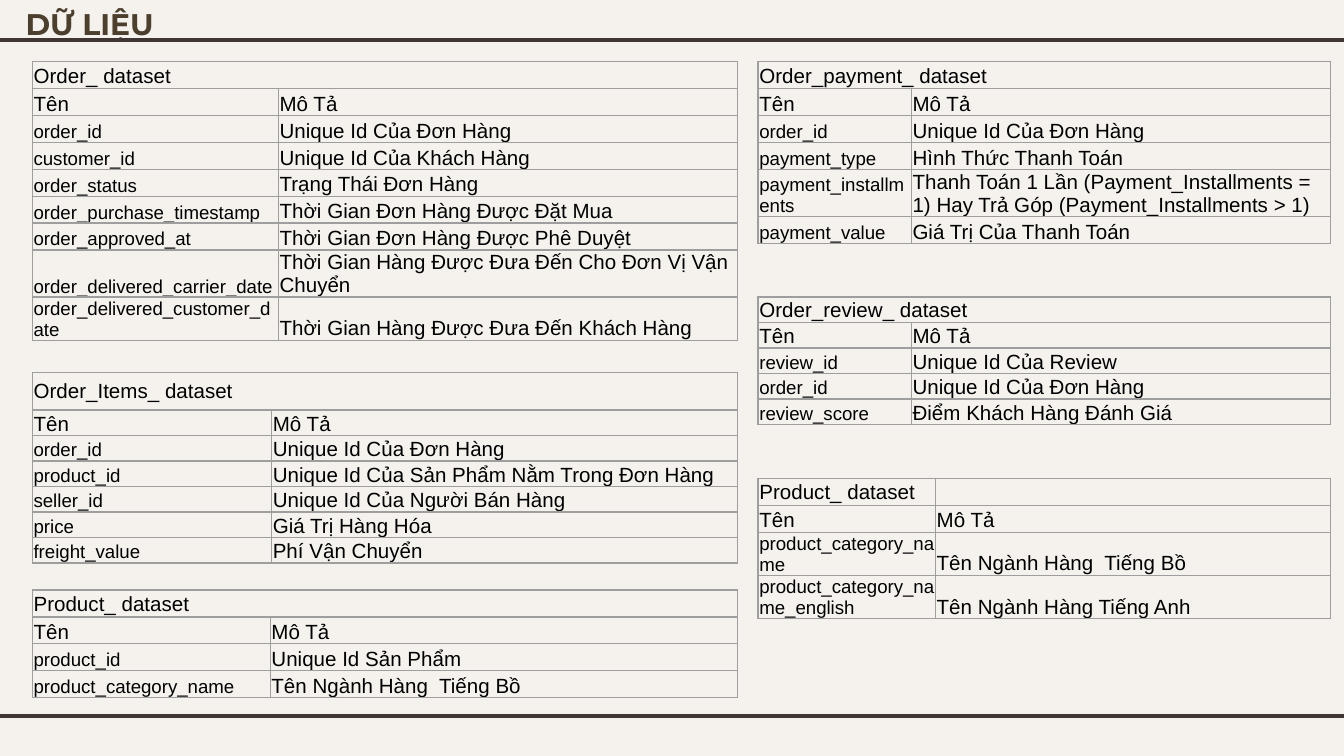
from lxml.etree import SubElement
from pptx import Presentation
from pptx.dml.color import RGBColor
from pptx.enum.shapes import MSO_CONNECTOR
from pptx.enum.text import MSO_ANCHOR, MSO_AUTO_SIZE, PP_ALIGN
from pptx.oxml.ns import qn
from pptx.util import Inches, Pt

THEME = {
    "background": "F5F2EE", "rule": "3F3533", "title": "4C3F2D",
    "text": "000000", "border": "9E9E9E",
    "title_font": "Montserrat", "body_font": "Arial",
    "title_size": 16, "body_size": 11, "field_size": 10,
    "rule_width": 2.25, "border_width": 0.75,
}

# Content: each dataset has a name, its fields with descriptions, and its layout
TITLE = "DỮ LIỆU"
HEADINGS = ("Tên", "Mô Tả")
LEFT, RIGHT = (0.24, 5.25), (5.64, 4.26)  # left edge and width of each side
DATASETS = [
    {"name": "Order_ dataset", "side": LEFT, "top": 0.46, "name_width": 1.83,
     "row": 0.2, "fields": [
         ("order_id", "Unique Id Của Đơn Hàng"),
         ("customer_id", "Unique Id Của Khách Hàng"),
         ("order_status", "Trạng Thái Đơn Hàng"),
         ("order_purchase_timestamp", "Thời Gian Đơn Hàng Được Đặt Mua"),
         ("order_approved_at", "Thời Gian Đơn Hàng Được Phê Duyệt"),
         ("order_delivered_carrier_date",
          "Thời Gian Hàng Được Đưa Đến Cho Đơn Vị Vận Chuyển"),
         ("order_delivered_customer_date",
          "Thời Gian Hàng Được Đưa Đến Khách Hàng")]},
    {"name": "Order_Items_ dataset", "side": LEFT, "top": 2.77,
     "name_width": 1.78, "row": 0.19, "first_row": 0.28, "fields": [
         ("order_id", "Unique Id Của Đơn Hàng"),
         ("product_id", "Unique Id Của Sản Phẩm Nằm Trong Đơn Hàng"),
         ("seller_id", "Unique Id Của Người Bán Hàng"),
         ("price", "Giá Trị Hàng Hóa"),
         ("freight_value", "Phí Vận Chuyển")]},
    {"name": "Order_payment_ dataset", "side": RIGHT, "top": 0.46,
     "name_width": 1.14, "row": 0.2, "fields": [
         ("order_id", "Unique Id Của Đơn Hàng"),
         ("payment_type", "Hình Thức Thanh Toán"),
         ("payment_installments", "Thanh Toán 1 Lần (Payment_Installments = 1) "
          "Hay Trả Góp (Payment_Installments > 1)"),
         ("payment_value", "Giá Trị Của Thanh Toán")]},
    {"name": "Order_review_ dataset", "side": RIGHT, "top": 2.21,
     "name_width": 1.14, "row": 0.19, "fields": [
         ("review_id", "Unique Id Của Review"),
         ("order_id", "Unique Id Của Đơn Hàng"),
         ("review_score", "Điểm Khách Hàng Đánh Giá")]},
    {"name": "Product_ dataset", "side": LEFT, "top": 4.39,
     "name_width": 1.77, "row": 0.2, "fields": [
         ("product_id", "Unique Id Sản Phẩm"),
         ("product_category_name", "Tên Ngành Hàng  Tiếng Bồ")]},
    {"name": "Product_ dataset", "side": RIGHT, "top": 3.56,
     "name_width": 1.32, "row": 0.2, "merged": False, "fields": [
         ("product_category_name", "Tên Ngành Hàng  Tiếng Bồ"),
         ("product_category_name_english", "Tên Ngành Hàng Tiếng Anh")]},
]


def write(frame, text, *, size, font=THEME["body_font"], color=THEME["text"],
          bold=False):
    paragraph = frame.paragraphs[0]
    paragraph.alignment = PP_ALIGN.LEFT
    frame.word_wrap = True
    if not text:  # an empty cell still needs its type size
        SubElement(paragraph._p, qn("a:endParaRPr"), sz=str(size * 100))
        return
    run = paragraph.add_run()
    run.text = text
    run.font.size, run.font.name, run.font.bold = Pt(size), font, bold
    run.font.color.rgb = RGBColor.from_string(color)


def add_rule(slide, y):
    rule = slide.shapes.add_connector(
        MSO_CONNECTOR.STRAIGHT, Inches(-0.08), Inches(y), Inches(10.08), Inches(y))
    rule.line.color.rgb = RGBColor.from_string(THEME["rule"])
    rule.line.width = Pt(THEME["rule_width"])
    SubElement(rule._element.spPr, qn("a:effectLst"))


def format_cell(cell, anchor):
    cell.vertical_anchor = anchor
    cell.margin_left = cell.margin_right = cell.margin_top = Inches(0.01)
    cell.margin_bottom = 0
    properties = cell._tc.get_or_add_tcPr()
    for side in ("lnL", "lnR", "lnT", "lnB"):
        border = SubElement(properties, qn(f"a:{side}"),
                            w=str(Pt(THEME["border_width"])))
        fill = SubElement(border, qn("a:solidFill"))
        SubElement(fill, qn("a:srgbClr"), val=THEME["border"])
    cell.fill.background()


def add_dataset(slide, dataset):
    rows = [(dataset["name"], ""), HEADINGS, *dataset["fields"]]
    heights = [dataset.get("first_row", dataset["row"])]
    heights += [dataset["row"]] * (len(rows) - 1)
    left, width = dataset["side"]
    table = slide.shapes.add_table(
        len(rows), 2, Inches(left), Inches(dataset["top"]),
        Inches(width), Inches(sum(heights))).table
    table.first_row = table.horz_banding = False
    table.columns[0].width = Inches(dataset["name_width"])
    table.columns[1].width = Inches(width - dataset["name_width"])
    for r, (texts, height) in enumerate(zip(rows, heights)):
        table.rows[r].height = Inches(height)
        for c, text in enumerate(texts):
            cell = table.cell(r, c)
            is_field = r > 1 and c == 0
            write(cell.text_frame, text,
                  size=THEME["field_size" if is_field else "body_size"])
            format_cell(cell, MSO_ANCHOR.BOTTOM if r else MSO_ANCHOR.MIDDLE)
    if dataset.get("merged", True):
        table.cell(0, 0).merge(table.cell(0, 1))


def main():
    prs = Presentation()
    prs.slide_width = Inches(10)
    prs.slide_height = prs.slide_width * 9 // 16
    slide = prs.slides.add_slide(prs.slide_layouts[5])
    slide.background.fill.solid()
    slide.background.fill.fore_color.rgb = RGBColor.from_string(THEME["background"])

    # Rules at the top and bottom
    for y in (0.3, 5.33):
        add_rule(slide, y)

    # Title
    title = slide.shapes.title
    title.left, title.top = Inches(0.09), Inches(-0.06)
    title.width, title.height = Inches(4.97), Inches(0.51)
    frame = title.text_frame
    frame.auto_size = MSO_AUTO_SIZE.NONE
    frame.vertical_anchor = MSO_ANCHOR.TOP
    frame.margin_left = frame.margin_right = Inches(0.1)
    frame.margin_top = frame.margin_bottom = Inches(0.1)
    write(frame, TITLE, size=THEME["title_size"], font=THEME["title_font"],
          color=THEME["title"], bold=True)

    # Dataset tables
    for dataset in DATASETS:
        add_dataset(slide, dataset)
    prs.save("out.pptx")


if __name__ == "__main__":
    main()
